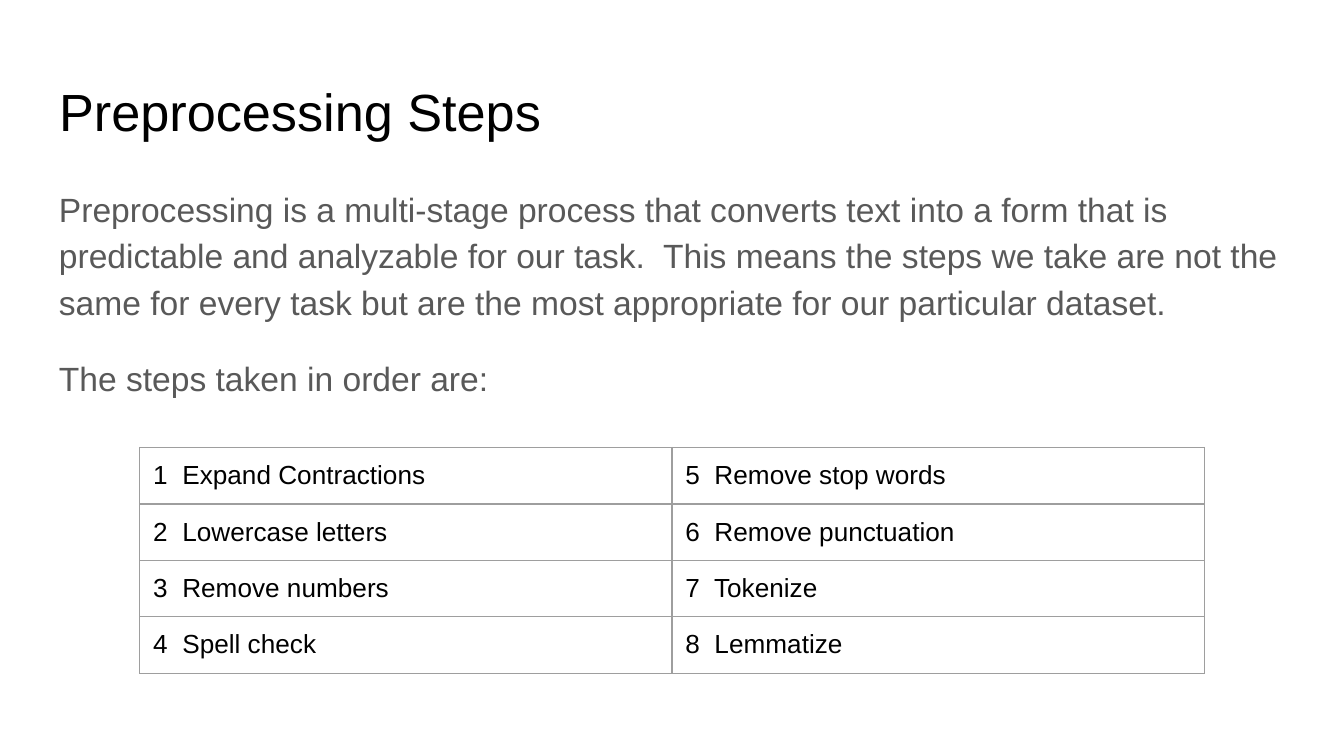
from lxml import etree
from pptx import Presentation
from pptx.dml.color import RGBColor
from pptx.enum import text
from pptx.oxml import ns
from pptx.util import Inches, Pt

MARGIN = Inches(0.1)


def write(frame, content, size, color, spacing=1.0, before=0):
    """Fill a text frame, one paragraph per line of content."""
    frame.word_wrap = True
    frame.text = content
    for index, paragraph in enumerate(frame.paragraphs):
        paragraph.alignment = text.PP_ALIGN.LEFT
        paragraph.line_spacing = spacing
        paragraph.space_before = Pt(before if index else 0)
        font = paragraph.runs[0].font
        font.name, font.size = "Arial", Pt(size)
        font.color.rgb = RGBColor.from_string(color)


def add_borders(cell, color, width):
    """Draw a solid line on all four sides of a table cell."""
    properties = cell._tc.get_or_add_tcPr()
    for side in ("lnL", "lnR", "lnT", "lnB"):
        line = etree.SubElement(properties, ns.qn(f"a:{side}"), w=str(Pt(width)))
        fill = etree.SubElement(line, ns.qn("a:solidFill"))
        etree.SubElement(fill, ns.qn("a:srgbClr"), val=color)


# Widescreen slide, 16:9
presentation = Presentation()
presentation.slide_width = Inches(10)
presentation.slide_height = Inches(10) * 9 // 16
slide = presentation.slides.add_slide(presentation.slide_layouts[5])

# Title
title = slide.shapes.title
title.left, title.top = Inches(0.34), Inches(0.49)
title.width, title.height = Inches(9.32), Inches(0.63)

# Introduction
introduction = slide.shapes.add_textbox(
    Inches(0.34), Inches(1.26), Inches(9.32), Inches(3.74))

for shape in (title, introduction):
    frame = shape.text_frame
    frame.auto_size = text.MSO_AUTO_SIZE.NONE
    frame.vertical_anchor = text.MSO_ANCHOR.TOP
    frame.margin_left = frame.margin_right = MARGIN
    frame.margin_top = frame.margin_bottom = MARGIN

write(title.text_frame, "Preprocessing Steps", 28, "000000")
write(
    introduction.text_frame,
    "Preprocessing is a multi-stage process that converts text into a form "
    "that is predictable and analyzable for our task.  This means the steps "
    "we take are not the same for every task but are the most appropriate "
    "for our particular dataset.\n"
    "The steps taken in order are:",
    18, "595959", spacing=1.15, before=16)

# Table of steps, numbered down each column
steps = [
    "Expand Contractions", "Lowercase letters", "Remove numbers", "Spell check",
    "Remove stop words", "Remove punctuation", "Tokenize", "Lemmatize",
]
row_count, column_count = 4, 2
table = slide.shapes.add_table(
    row_count, column_count, Inches(1.04), Inches(3.33),
    Inches(3.96 * column_count), Inches(0.42 * row_count)).table
table.first_row = table.horz_banding = False

for index, step in enumerate(steps):
    column, row = divmod(index, row_count)
    cell = table.cell(row, column)
    cell.margin_left = cell.margin_right = MARGIN
    cell.margin_top = cell.margin_bottom = MARGIN
    add_borders(cell, "9E9E9E", 0.75)
    cell.fill.background()
    write(cell.text_frame, f"{index + 1}  {step}", 14, "000000")

presentation.save("out.pptx")
